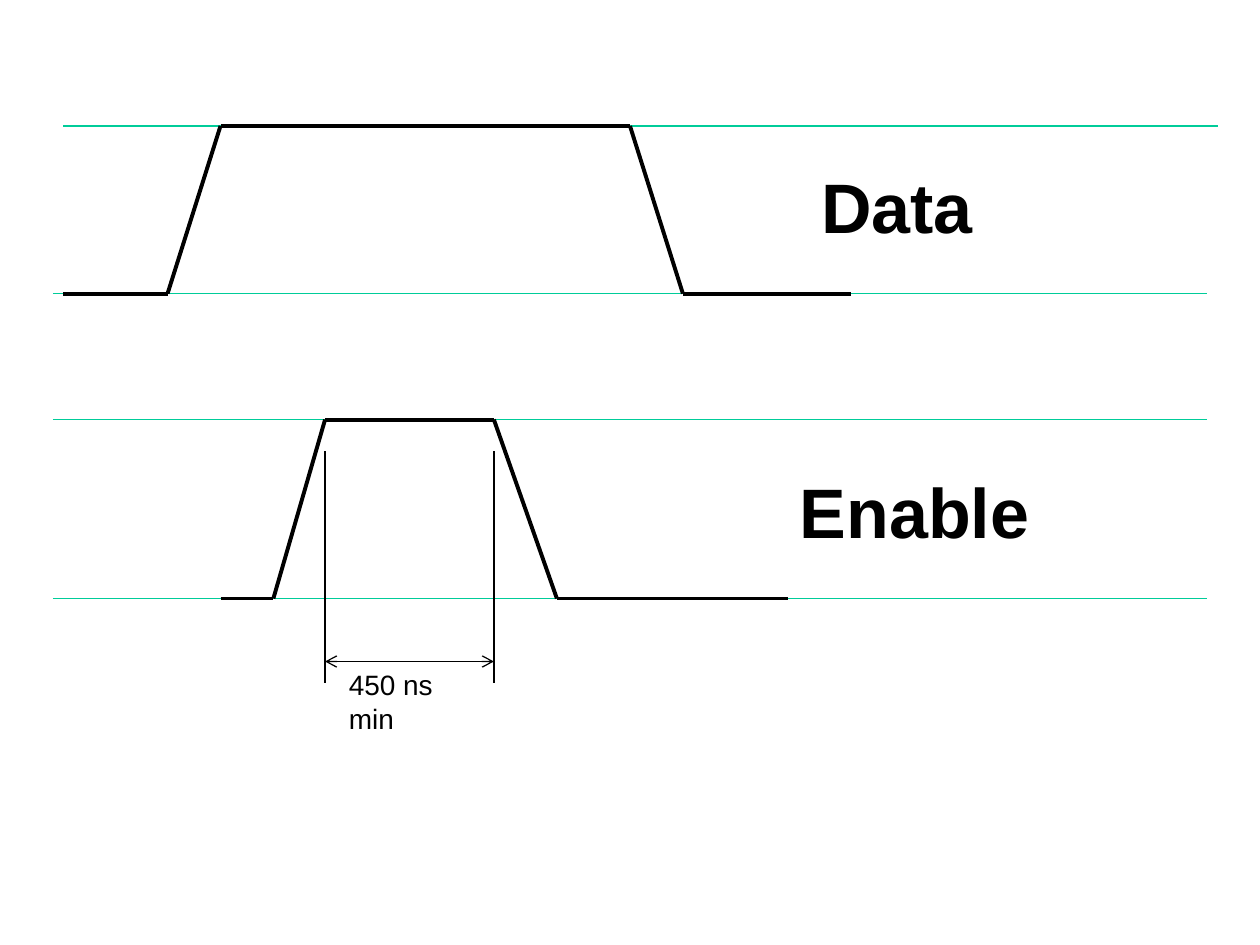
from itertools import pairwise

from lxml import etree
from pptx import Presentation, util as u
from pptx.dml.color import RGBColor
from pptx.enum import shapes, text
from pptx.oxml.ns import qn

COLORS = {"guide": "00CC99", "ink": "000000"}
THIN, THICK = 0.74, 2.24


class TimingDiagram:
    font = "Arial"

    def __init__(self, slide):
        self.s = slide

    def line(self, start, end, color="ink", width=THIN, arrows=False, parent=None):
        points = [u.Inches(v) for v in (*start, *end)]
        sp = (parent or self.s).shapes.add_connector(shapes.MSO_CONNECTOR.STRAIGHT, *points)
        sp.line.color.rgb = RGBColor.from_string(COLORS[color])
        sp.line.width = u.Pt(width)
        props = sp._element.spPr
        etree.SubElement(props, qn("a:effectLst"))
        if arrows:
            for tag in ("a:headEnd", "a:tailEnd"):
                etree.SubElement(props.find(qn("a:ln")), qn(tag), type="arrow")

    def signal(self, points):
        group = self.s.shapes.add_group_shape()
        for start, end in pairwise(points):
            self.line(start, end, width=THICK, parent=group)

    def label(self, content, left, top, width, height, size, bold=False):
        sp = self.s.shapes.add_textbox(*(u.Inches(v) for v in (left, top, width, height)))
        tf = sp.text_frame
        tf.word_wrap = False
        tf.auto_size = text.MSO_AUTO_SIZE.SHAPE_TO_FIT_TEXT
        p = tf.paragraphs[0]
        p.text = content
        p.font.name, p.font.size, p.font.bold = self.font, u.Pt(size), bold
        p.font.color.rgb = RGBColor.from_string(COLORS["ink"])


prs = Presentation()
prs.slide_width, prs.slide_height = u.Inches(10), u.Inches(7.5)
diagram = TimingDiagram(prs.slides.add_slide(prs.slide_layouts[6]))

# Logic levels
data_high, data_low = 1, 2.33
enable_high, enable_low = 3.33, 4.75
pulse_start, pulse_end = 2.58, 3.92

# Guide lines
for y, left, right in ((data_low, 0.42, 9.58), (data_high, 0.5, 9.67),
                       (enable_high, 0.42, 9.58), (enable_low, 0.42, 9.58)):
    diagram.line((left, y), (right, y), "guide")

# Signals: start, rise, high, fall, low, end
for high, low, xs in (
    (enable_high, enable_low, (1.75, 2.17, pulse_start, pulse_end, 4.42, 6.25)),
    (data_high, data_low, (0.5, 1.33, 1.75, 5, 5.42, 6.75)),
):
    diagram.signal(list(zip(xs, (low, low, high, high, low, low))))

# Pulse width dimension
for x in (pulse_start, pulse_end):
    diagram.line((x, 3.58), (x, 5.42))
diagram.line((pulse_start, 5.25), (pulse_end, 5.25), arrows=True)

# Labels
diagram.label("Data", 6.42, 1.25, 1.4, 0.77, 40, bold=True)
diagram.label("Enable", 6.25, 3.67, 2.02, 0.77, 40, bold=True)
diagram.label("450 ns min", 2.67, 5.25, 1.28, 0.37, 16)

prs.save("out.pptx")
